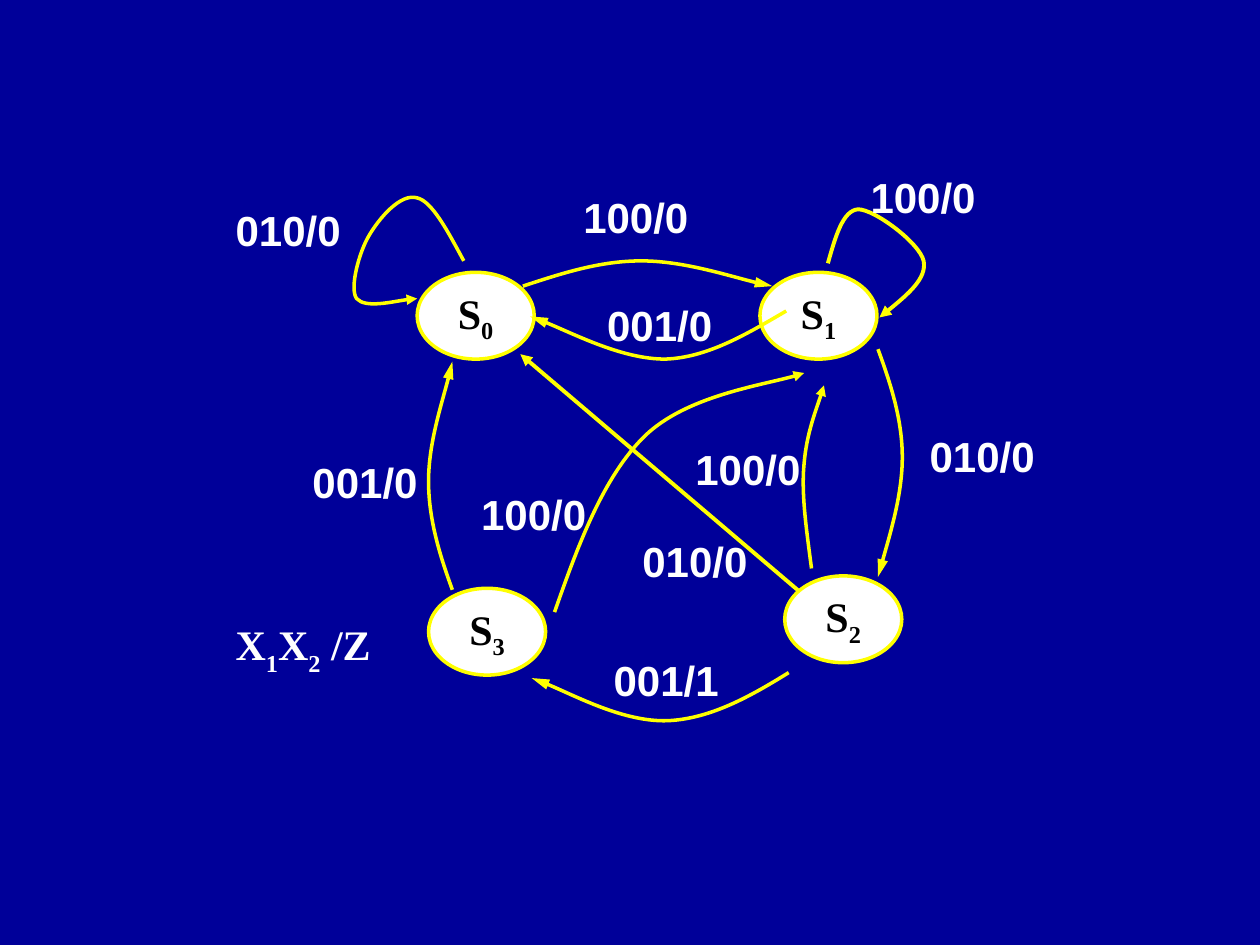
from dataclasses import dataclass

from lxml import etree
from pptx import Presentation
from pptx import util as u
from pptx.dml.color import RGBColor
from pptx.enum import shapes, text
from pptx.oxml.ns import qn


@dataclass(frozen=True)
class Theme:
    """Colours, fonts and sizes of the slide."""
    back: str = "000099"
    node: str = "FFFFFF"
    line: str = "FFFF00"
    node_text: str = "000000"
    label_text: str = "FFFFFF"
    serif: str = "Times New Roman"
    sans: str = "Arial"
    size: int = 24
    thin: float = 2
    thick: float = 2.25


class Diagram:
    """Draws the parts of a state diagram on one slide."""

    def __init__(self, slide, theme):
        """Keep the slide and theme, and paint the background."""
        self.s, self.t = slide, theme
        fill = slide.background.fill
        fill.solid()
        fill.fore_color.rgb = RGBColor.from_string(theme.back)

    def add_words(self, tf, words, font, color, drop):
        """Fill a text frame; every second part between bars is a subscript."""
        p = tf.paragraphs[0]
        for i, part in enumerate(words.split("|")):
            if not part:
                continue
            r = p.add_run()
            r.text = part
            r.font.name, r.font.size, r.font.bold = font, u.Pt(self.t.size), True
            r.font.color.rgb = RGBColor.from_string(color)
            if i % 2:
                r.font._element.set("baseline", str(-1000 * drop))
        return p

    def stroke(self, sp, width):
        """Give a shape or connector the yellow line."""
        sp.line.color.rgb = RGBColor.from_string(self.t.line)
        sp.line.width = u.Pt(width)

    def arrowhead(self, sp, length):
        """End a line with a triangle."""
        etree.SubElement(sp.line._get_or_add_ln(), qn("a:tailEnd"),
                         type="triangle", w="med", len=length)

    def state(self, words, x, y):
        """Add a state ellipse."""
        sp = self.s.shapes.add_shape(shapes.MSO_SHAPE.OVAL, u.Cm(x), u.Cm(y),
                                     u.Cm(2.36), u.Cm(1.75))
        sp.shadow.inherit = False
        sp.fill.solid()
        sp.fill.fore_color.rgb = RGBColor.from_string(self.t.node)
        self.stroke(sp, self.t.thin)
        tf = sp.text_frame
        tf.vertical_anchor = text.MSO_ANCHOR.MIDDLE
        p = self.add_words(tf, words, self.t.serif, self.t.node_text, 25)
        p.alignment = text.PP_ALIGN.CENTER

    def label(self, words, x, y, w, font=None):
        """Add a text label."""
        sp = self.s.shapes.add_textbox(u.Cm(x), u.Cm(y), u.Cm(w), u.Cm(1.27))
        sp.text_frame.word_wrap = True
        self.add_words(sp.text_frame, words, font or self.t.sans,
                       self.t.label_text, 30)

    def curve(self, points, head="med", width=None):
        """Add a Bezier arrow: a start, then three points for each segment."""
        start, *rest = [(u.Cm(x), u.Cm(y)) for x, y in points]
        builder = self.s.shapes.build_freeform(*start)
        builder.add_line_segments(rest, close=False)
        sp = builder.convert_to_shape()
        outline = sp._element.xpath(".//a:path")[0]
        segments = outline.findall(qn("a:lnTo"))
        for i in range(0, len(segments), 3):
            bezier = etree.SubElement(outline, qn("a:cubicBezTo"))
            for segment in segments[i:i + 3]:
                bezier.append(segment[0])
                outline.remove(segment)
        sp.shadow.inherit = False
        sp.fill.background()
        self.stroke(sp, width or self.t.thin)
        self.arrowhead(sp, head)

    def arrow(self, x1, y1, x2, y2):
        """Add a straight arrow."""
        sp = self.s.shapes.add_connector(shapes.MSO_CONNECTOR.STRAIGHT,
                                         u.Cm(x1), u.Cm(y1), u.Cm(x2), u.Cm(y2))
        self.stroke(sp, self.t.thick)
        self.arrowhead(sp, "med")
        etree.SubElement(sp._element.spPr, qn("a:effectLst"))


STATES = [("S|0", 8.41, 5.49), ("S|1", 15.32, 5.49),
          ("S|2", 15.82, 11.61), ("S|3", 8.64, 11.86)]

LONG_HEAD_CURVES = [
    # S0 to S1
    [(10.54, 5.77), (11.33, 5.51), (12.09, 5.26), (12.93, 5.26),
     (13.77, 5.26), (15.11, 5.69), (15.57, 5.77)],
    # S1 to S2
    [(17.7, 7.04), (17.96, 7.75), (18.19, 8.46), (18.19, 9.22),
     (18.19, 9.98), (17.81, 11.23), (17.7, 11.63)],
    # S2 to S3
    [(15.9, 13.56), (15.11, 14.05), (14.3, 14.5), (13.44, 14.53),
     (12.57, 14.55), (11.18, 13.82), (10.72, 13.67)],
    # S3 to S0
    [(9.12, 11.89), (8.86, 11.18), (8.64, 10.46), (8.64, 9.7),
     (8.64, 8.94), (9.04, 7.7), (9.12, 7.29)],
    # S1 to S0
    [(15.85, 6.27), (15.06, 6.73), (14.27, 7.21), (13.41, 7.24),
     (12.55, 7.24), (11.15, 6.53), (10.69, 6.38)],
]

SHORT_HEAD_CURVES = [
    # S0 to itself
    [(9.35, 5.26), (9.02, 4.65), (8.71, 4.06), (8.41, 3.99), (8.08, 3.89),
     (7.65, 4.39), (7.44, 4.75), (7.24, 5.08), (7.04, 5.82), (7.19, 6.02),
     (7.37, 6.22), (8.2, 6.02), (8.41, 6.02)],
    # S2 to S1
    [(16.36, 11.46), (16.26, 10.69), (16.15, 9.96), (16.21, 9.35),
     (16.26, 8.74), (16.54, 8.03), (16.61, 7.77)],
    # S3 to S1
    [(11.18, 12.34), (11.66, 10.97), (12.17, 9.6), (13, 8.79),
     (13.84, 7.98), (15.67, 7.72), (16.21, 7.52)],
]

S1_LOOP = [(16.69, 5.31), (16.84, 4.78), (16.99, 4.24), (17.3, 4.22),
           (17.63, 4.22), (18.54, 4.9), (18.62, 5.26),
           (18.69, 5.61), (18.21, 6.02), (17.73, 6.4)]

LABELS = [("010/0", 4.5, 3.99, 2.95), ("100/0", 11.51, 3.73, 3.05),
          ("010/0", 18.49, 8.56, 3), ("001/0", 11.99, 5.92, 3.12),
          ("001/1", 12.12, 13.06, 3), ("001/0", 6.05, 9.07, 2.84),
          ("100/0", 13.77, 8.81, 3.61), ("100/0", 17.3, 3.33, 3),
          ("100/0", 9.45, 9.73, 3.05), ("010/0", 12.7, 10.67, 3)]


def main():
    """Build and save the slide."""
    prs = Presentation()
    prs.slide_width, prs.slide_height = u.Cm(25.4), u.Cm(19.05)
    theme = Theme()
    d = Diagram(prs.slides.add_slide(prs.slide_layouts[6]), theme)
    for state in STATES:
        d.state(*state)
    for points in LONG_HEAD_CURVES:
        d.curve(points, head="lg")
    for points in SHORT_HEAD_CURVES:
        d.curve(points)
    d.curve(S1_LOOP, width=theme.thick)
    d.arrow(16.1, 11.91, 10.49, 7.14)
    for label in LABELS:
        d.label(*label)
    d.label("X|1|X|2| /Z", 4.5, 12.34, 4.88, theme.serif)
    prs.save("out.pptx")


main()
